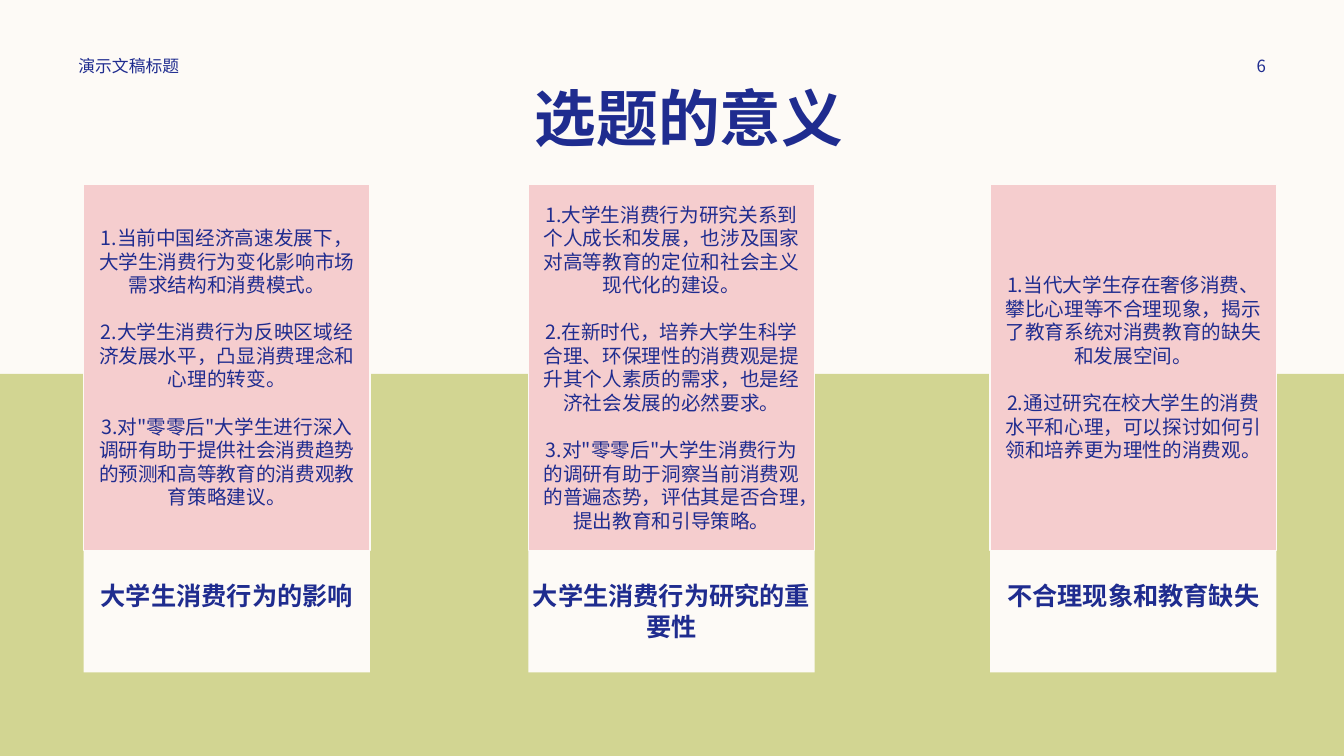
from lxml.etree import SubElement
from pptx import Presentation
from pptx.dml.color import RGBColor
from pptx.enum.shapes import MSO_SHAPE as Shape
from pptx.enum.text import MSO_ANCHOR as Anchor, PP_ALIGN as Align
from pptx.oxml.ns import qn
from pptx.util import Inches, Pt

COLORS = {"cream": "FDFAF6", "green": "D2D592", "pink": "F5CDCE", "navy": "1F2C8F"}
FONT = "Noto Sans CJK SC"
WIDTH, HEIGHT = 13.33, 7.5
LINE = 1.2  # line pitch as a share of the text size

COLUMN_LEFTS = (0.83, 5.24, 9.82)
COLUMN_WIDTH = 2.84
CARD_TOP, CARD_HEIGHT = 1.83, 3.63
LABEL_TOP, LABEL_HEIGHT = CARD_TOP + CARD_HEIGHT, 1.21

COLUMNS = [
    ("大学生消费行为的影响", [
        "1.当前中国经济高速发展下，大学生消费行为变化影响市场需求结构和消费模式。",
        "2.大学生消费行为反映区域经济发展水平，凸显消费理念和心理的转变。",
        '3.对"零零后"大学生进行深入调研有助于提供社会消费趋势的预测和高等教育的消费观教育策略建议。',
    ]),
    ("大学生消费行为研究的重要性", [
        "1.大学生消费行为研究关系到个人成长和发展，也涉及国家对高等教育的定位和社会主义现代化的建设。",
        "2.在新时代，培养大学生科学合理、环保理性的消费观是提升其个人素质的需求，也是经济社会发展的必然要求。",
        '3.对"零零后"大学生消费行为的调研有助于洞察当前消费观的普遍态势，评估其是否合理，提出教育和引导策略。',
    ]),
    ("不合理现象和教育缺失", [
        "1.当代大学生存在奢侈消费、攀比心理等不合理现象，揭示了教育系统对消费教育的缺失和发展空间。",
        "2.通过研究在校大学生的消费水平和心理，可以探讨如何引领和培养更为理性的消费观。",
    ]),
]


def color(name):
    return RGBColor.from_string(COLORS[name])


def write(sp, paragraphs, size, bold=False, align=Align.CENTER, anchor=Anchor.TOP):
    """Fill a shape with paragraphs set one blank line apart."""
    tf = sp.text_frame
    tf.word_wrap = True
    tf.vertical_anchor = anchor
    for i, text in enumerate(paragraphs):
        p = tf.add_paragraph() if i else tf.paragraphs[0]
        p.alignment = align
        p.line_spacing = Pt(size * LINE)
        p.space_before = Pt(size * LINE if i else 0)
        r = p.add_run()
        r.text = text
        r.font.size, r.font.bold, r.font.name = Pt(size), bold, FONT
        r.font.color.rgb = color("navy")
        SubElement(r.font._element, qn("a:ea"), typeface=FONT)


def add_box(s, left, top, width, height, fill, line=None):
    sp = s.shapes.add_shape(Shape.RECTANGLE, *map(Inches, (left, top, width, height)))
    sp.shadow.inherit = False
    sp.fill.solid()
    sp.fill.fore_color.rgb = color(fill)
    if line:
        sp.line.color.rgb = color(line)
        sp.line.width = Pt(1)
    else:
        sp.line.fill.background()
    return sp


def add_text(s, left, top, width, height, text, size, **style):
    sp = s.shapes.add_textbox(*map(Inches, (left, top, width, height)))
    write(sp, [text], size, **style)


def add_label(s, left, text):
    sp = add_box(s, left, LABEL_TOP, COLUMN_WIDTH, LABEL_HEIGHT, "cream")
    tf = sp.text_frame
    tf.margin_left = tf.margin_right = 0
    tf.margin_top = Inches(0.3)
    write(sp, [text], 18, bold=True)


def add_card(s, left, points):
    sp = add_box(s, left, CARD_TOP, COLUMN_WIDTH, CARD_HEIGHT, "pink", line="cream")
    write(sp, points, 14, anchor=Anchor.MIDDLE)


def main():
    prs = Presentation()
    prs.slide_width, prs.slide_height = Inches(WIDTH), Inches(HEIGHT)
    s = prs.slides.add_slide(prs.slide_layouts[6])
    s.background.fill.solid()
    s.background.fill.fore_color.rgb = color("cream")

    band_top = 3.71
    add_box(s, 0, band_top, WIDTH, HEIGHT - band_top, "green")
    add_text(s, 1, 0.74, 11.67, 0.84, "选题的意义", 44, bold=True)
    add_text(s, 0.68, 0.5, 3.5, 0.3, "演示文稿标题", 12, align=Align.LEFT, anchor=Anchor.MIDDLE)
    add_text(s, 11.97, 0.5, 1.08, 0.3, "6", 12, anchor=Anchor.MIDDLE)
    for left, (label, points) in zip(COLUMN_LEFTS, COLUMNS):
        add_label(s, left, label)
        add_card(s, left, points)
    prs.save("out.pptx")


if __name__ == "__main__":
    main()
